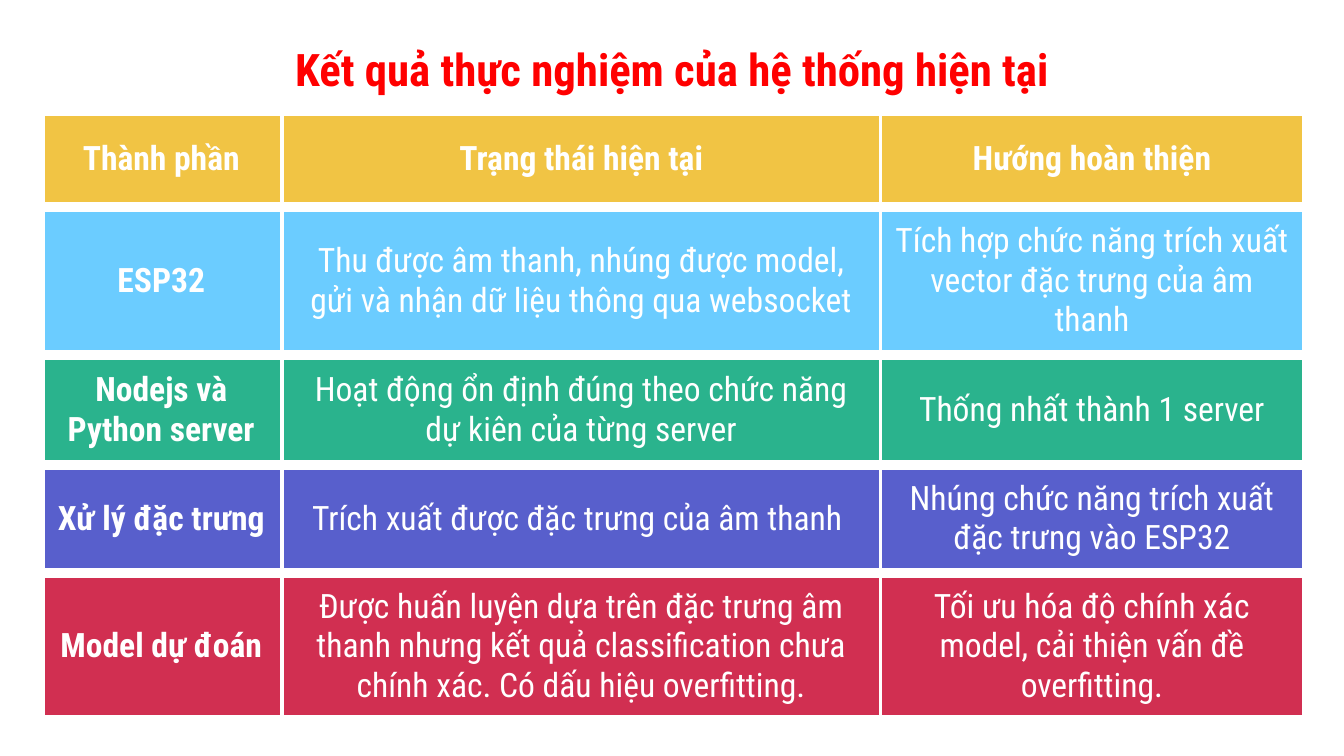
from pptx import Presentation
from pptx.dml.color import RGBColor
from pptx.enum.text import MSO_ANCHOR, PP_ALIGN
from pptx.oxml.ns import qn
from pptx.util import Inches, Pt
from lxml.etree import SubElement

FONT = "Roboto Condensed"
COLORS = {
    "title": "FF0000",
    "white": "FFFFFF",
    "header": "F1C444",
    "device": "6BCCFF",
    "server": "2AB38D",
    "features": "585FCC",
    "model": "D12F51",
}
COLUMN_WIDTHS = [1.8, 4.45, 3.15]
RESULTS = [
    ("header", 0.71, ["Thành phần", "Trạng thái hiện tại", "Hướng hoàn thiện"]),
    ("device", 0.82, [
        "ESP32",
        "Thu được âm thanh, nhúng được model, gửi và nhận dữ liệu thông qua websocket",
        "Tích hợp chức năng trích xuất vector đặc trưng của âm thanh",
    ]),
    ("server", 0.82, [
        "Nodejs và Python server",
        "Hoạt động ổn định đúng theo chức năng dự kiên của từng server",
        "Thống nhất thành 1 server",
    ]),
    ("features", 0.71, [
        "Xử lý đặc trưng",
        "Trích xuất được đặc trưng của âm thanh ",
        "Nhúng chức năng trích xuất đặc trưng vào ESP32",
    ]),
    ("model", 0.71, [
        "Model dự đoán",
        "Được huấn luyện dựa trên đặc trưng âm thanh nhưng kết quả classification "
        "chưa chính xác. Có dấu hiệu overfitting.",
        "Tối ưu hóa độ chính xác model, cải thiện vấn đề overfitting.",
    ]),
]
MARGINS = {f"margin_{side}": Inches(0.1) for side in ("left", "top", "right", "bottom")}


def apply_format(target, values):
    for name, value in values.items():
        setattr(target, name, value)


def write_text(frame, text, size, color, bold):
    frame.word_wrap = True
    paragraph = frame.paragraphs[0]
    paragraph.alignment = PP_ALIGN.CENTER
    run = paragraph.add_run()
    run.text = text
    apply_format(run.font, {"name": FONT, "size": Pt(size), "bold": bold})
    run.font.color.rgb = RGBColor.from_string(COLORS[color])


def draw_borders(cell, widths):
    properties = cell._tc.get_or_add_tcPr()
    for side, width in widths.items():
        line = SubElement(properties, qn(f"a:ln{side}"), w=str(Pt(width)))
        fill = SubElement(line, qn("a:solidFill"))
        SubElement(fill, qn("a:srgbClr"), val=COLORS["white"])


def add_title(slide, left, top, width, height):
    title = slide.shapes.add_textbox(*map(Inches, (left, top, width, height)))
    frame = title.text_frame
    apply_format(frame, {**MARGINS, "vertical_anchor": MSO_ANCHOR.TOP})
    write_text(frame, "Kết quả thực nghiệm của hệ thống hiện tại", 24, "title", True)


def add_results(slide, left, top, width, height):
    box = map(Inches, (left, top, width, height))
    results = slide.shapes.add_table(len(RESULTS), len(COLUMN_WIDTHS), *box)
    table = results.table
    apply_format(table, {"first_row": False, "horz_banding": False})
    for column, column_width in zip(table.columns, COLUMN_WIDTHS):
        column.width = Inches(column_width)
    for row, (kind, row_height, texts) in zip(table.rows, RESULTS):
        row.height = Inches(row_height)
        for index, (cell, text) in enumerate(zip(row.cells, texts)):
            first = index == 0
            apply_format(cell, {**MARGINS, "vertical_anchor": MSO_ANCHOR.MIDDLE})
            draw_borders(cell, {"L": 6 if first else 2.25, "R": 2.25, "T": 6, "B": 6})
            cell.fill.solid()
            cell.fill.fore_color.rgb = RGBColor.from_string(COLORS[kind])
            write_text(cell.text_frame, text, 18, "white", first or kind == "header")
    results.height = Inches(height)


def main():
    presentation = Presentation()
    slide_width = Inches(10)
    apply_format(presentation, {"slide_width": slide_width, "slide_height": slide_width * 9 // 16})
    slide = presentation.slides.add_slide(presentation.slide_layouts[6])
    add_title(slide, 0.5, 0.21, 9, 0.63)
    add_results(slide, 0.3, 0.83, sum(COLUMN_WIDTHS), 4.24)
    presentation.save("out.pptx")


if __name__ == "__main__":
    main()
